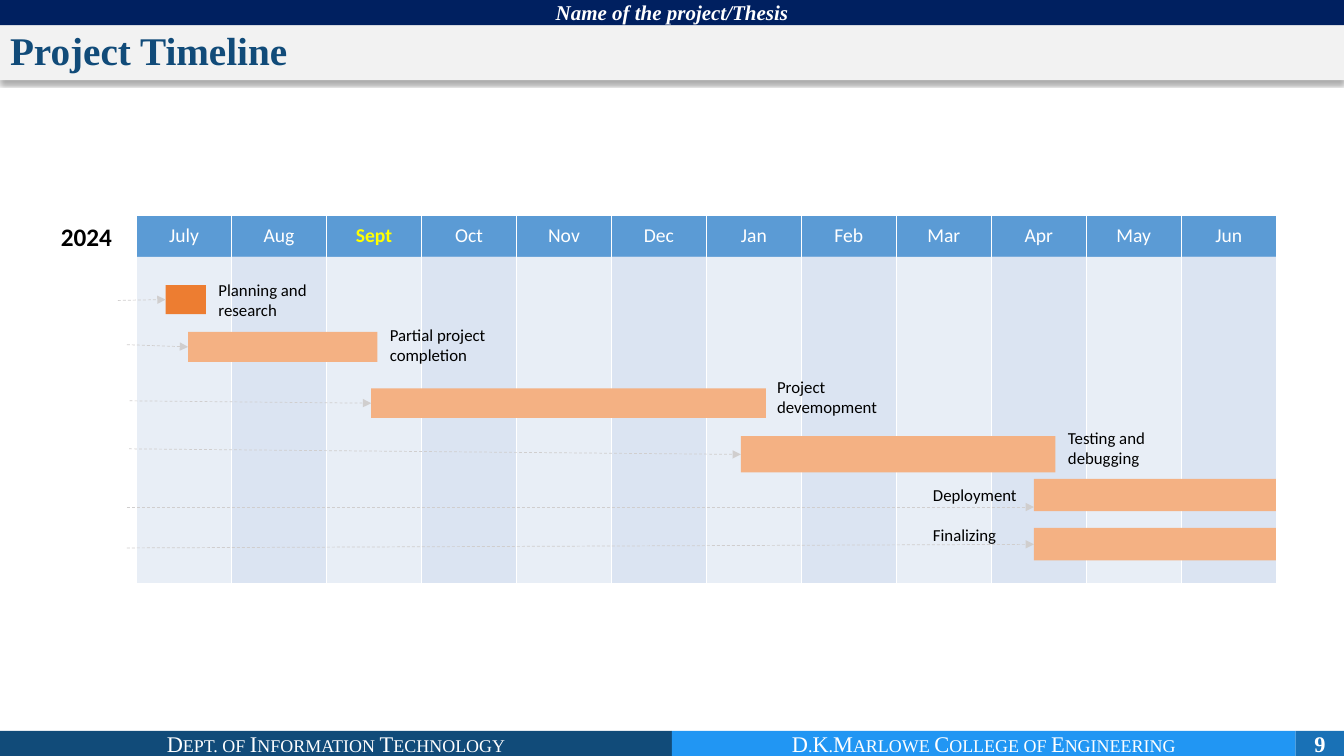
from lxml.etree import SubElement
from pptx import Presentation
from pptx.dml.color import RGBColor
from pptx.enum.dml import MSO_LINE
from pptx.enum.shapes import MSO_CONNECTOR, MSO_SHAPE
from pptx.enum.text import MSO_ANCHOR, MSO_AUTO_SIZE, PP_ALIGN
from pptx.oxml import parse_xml
from pptx.oxml.ns import nsdecls, qn
from pptx.util import Pt

WHITE = RGBColor(0xFF, 0xFF, 0xFF)
BLACK = RGBColor(0, 0, 0)
NAVY = RGBColor(0x00, 0x20, 0x60)
DEEP_BLUE = RGBColor(0x11, 0x4B, 0x79)
BRIGHT_BLUE = RGBColor(0x21, 0x96, 0xF3)
MID_BLUE = RGBColor(0x19, 0x71, 0xB6)
TITLE_GREY = RGBColor(0xF2, 0xF2, 0xF2)
MONTH_BLUE = RGBColor(0x5B, 0x9B, 0xD5)
COLUMN_BLUE = RGBColor(0xD2, 0xDE, 0xEF)
YELLOW = RGBColor(0xFF, 0xFF, 0x00)
ORANGE = RGBColor(0xED, 0x7D, 0x31)
PEACH = RGBColor(0xF4, 0xB1, 0x83)
ARROW_GREY = RGBColor(0xD0, 0xCE, 0xCE)
SERIF, SANS = "Times New Roman", "Calibri"

# Content
TITLE = "Project Timeline"
YEAR = "2024"
MONTHS = ["July", "Aug", "Sept", "Oct", "Nov", "Dec",
          "Jan", "Feb", "Mar", "Apr", "May", "Jun"]
CURRENT_MONTH = "Sept"
# text, left, top, width, fill, size, font settings
BANDS = [
    ("Dept. of Information Technology", 0, 522, 480, DEEP_BLUE, 16, "small caps"),
    ("D.K.Marlowe College of Engineering", 480, 522, 445.5, BRIGHT_BLUE, 16, "small caps"),
    ("9", 925.5, 522, 34.5, MID_BLUE, 16, "bold"),
    ("Name of the project/Thesis", 0, 0, 960, NAVY, 15, "bold italic"),
]
# label lines, label box, bar box, bar fill, arrow (start x, start y, end y)
TASKS = [
    (["Planning and", "research"], (149, 196, 83.5, 36),
     (118.3, 203.6, 28.8, 20.8), ORANGE, (84.3, 214.6, 214)),
    (["Partial project completion"], (271.4, 228.3, 83.5, 36),
     (134.4, 237.1, 135.2, 21.4), PEACH, (90.7, 246.2, 247.8)),
    (["Project devemopment"], (548, 265.3, 93.6, 36),
     (265.2, 277.4, 282, 21.2), PEACH, (92.6, 286.3, 288)),
    (["Testing and debugging"], (755.8, 301.8, 93.6, 36),
     (529.2, 311.6, 224.8, 25.9), PEACH, (92.2, 320.6, 324.6)),
    (["Deployment"], (659.3, 342.9, 80.6, 21.6),
     (738.6, 342, 172.8, 23.2), PEACH, (90.7, 362.2, 362.2)),
    (["Finalizing"], (659.3, 371.5, 62.6, 21.6),
     (738.6, 377.1, 172.8, 23.2), PEACH, (90.7, 391.4, 388.8)),
]

# Layout
SLIDE_W, SLIDE_H, BAND_H, TITLE_H = 960, 540, 18, 39.2
GRID_LEFT, GRID_TOP, MONTH_W = 97.6, 154.1, 67.85
ROW_HEIGHTS = [29.2, 233]


def points(*lengths):
    return [Pt(length) for length in lengths]


def write(paragraph, text, font, size, color, bold=False, italic=False):
    run = paragraph.add_run()
    run.text = text
    run.font.name, run.font.size = font, Pt(size)
    run.font.color.rgb = color
    run.font.bold, run.font.italic = bold, italic
    return run


def add_block(slide, box, fill):
    block = slide.shapes.add_shape(MSO_SHAPE.RECTANGLE, *points(*box))
    block.shadow.inherit = False
    block.fill.solid()
    block.fill.fore_color.rgb = fill
    block.line.fill.background()
    return block


def add_label(slide, box, lines, size, align=PP_ALIGN.LEFT, bold=False, wrap=True):
    frame = slide.shapes.add_textbox(*points(*box)).text_frame
    frame.word_wrap = wrap
    frame.auto_size = MSO_AUTO_SIZE.SHAPE_TO_FIT_TEXT
    frame.vertical_anchor = MSO_ANCHOR.MIDDLE
    for index, line in enumerate(lines):
        paragraph = frame.add_paragraph() if index else frame.paragraphs[0]
        paragraph.alignment = align
        write(paragraph, line, SANS, size, BLACK, bold)


def add_band(slide, text, left, top, width, fill, size, style):
    frame = add_block(slide, (left, top, width, BAND_H), fill).text_frame
    frame.margin_top = frame.margin_bottom = 0
    frame.vertical_anchor = MSO_ANCHOR.MIDDLE
    paragraph = frame.paragraphs[0]
    paragraph.alignment = PP_ALIGN.CENTER
    run = write(paragraph, text, SERIF, size, WHITE, "bold" in style, "italic" in style)
    if style == "small caps":
        run.font._element.set("cap", "small")


def add_title(slide):
    title = slide.shapes.title
    title.left, title.top, title.width, title.height = points(0, BAND_H, SLIDE_W, TITLE_H)
    title.fill.solid()
    title.fill.fore_color.rgb = TITLE_GREY
    title._element.spPr.append(parse_xml(
        f'<a:effectLst {nsdecls("a")}><a:outerShdw blurRad="{Pt(3.5)}" dist="{Pt(2.2)}" '
        'dir="5400000" algn="t" rotWithShape="0"><a:srgbClr val="000000">'
        '<a:alpha val="32000"/></a:srgbClr></a:outerShdw></a:effectLst>'))
    frame = title.text_frame
    frame.auto_size = MSO_AUTO_SIZE.NONE
    frame.vertical_anchor = MSO_ANCHOR.MIDDLE
    paragraph = frame.paragraphs[0]
    paragraph.alignment = PP_ALIGN.LEFT
    paragraph.line_spacing = 0.9
    write(paragraph, TITLE, SERIF, 28, DEEP_BLUE, True)


def paint_cell(cell, fill, opacity=100):
    cell.fill.solid()
    cell.fill.fore_color.rgb = fill
    properties = cell._tc.get_or_add_tcPr()
    if opacity < 100:
        color = properties.find(".//" + qn("a:srgbClr"))
        SubElement(color, qn("a:alpha")).set("val", str(opacity * 1000))
    # White lines between the months, none between the rows
    white = f'<a:solidFill><a:srgbClr val="{WHITE}"/></a:solidFill>'
    sides = [("L", white), ("R", white), ("T", "<a:noFill/>"), ("B", "<a:noFill/>")]
    for index, (side, paint) in enumerate(sides):
        properties.insert(index, parse_xml(
            f'<a:ln{side} {nsdecls("a")} w="{Pt(0.5)}">{paint}</a:ln{side}>'))


def add_calendar(slide):
    box = (GRID_LEFT, GRID_TOP, MONTH_W * len(MONTHS), sum(ROW_HEIGHTS))
    calendar = slide.shapes.add_table(2, len(MONTHS), *points(*box)).table
    calendar.first_row = calendar.horz_banding = False
    for row, height in zip(calendar.rows, ROW_HEIGHTS):
        row.height = Pt(height)
    for index, month in enumerate(MONTHS):
        calendar.columns[index].width = Pt(MONTH_W)
        heading = calendar.cell(0, index)
        paint_cell(heading, MONTH_BLUE)
        paint_cell(calendar.cell(1, index), COLUMN_BLUE, 80 if index % 2 else 50)
        heading.vertical_anchor = MSO_ANCHOR.MIDDLE
        paragraph = heading.text_frame.paragraphs[0]
        paragraph.alignment = PP_ALIGN.CENTER
        current = month == CURRENT_MONTH
        write(paragraph, month, SANS, 14, YELLOW if current else WHITE, current)


def add_arrow(slide, start_x, start_y, end_x, end_y):
    arrow = slide.shapes.add_connector(
        MSO_CONNECTOR.STRAIGHT, *points(start_x, start_y, end_x, end_y))
    arrow.line.color.rgb = ARROW_GREY
    arrow.line.width = Pt(0.5)
    arrow.line.dash_style = MSO_LINE.DASH
    SubElement(arrow.line._get_or_add_ln(), qn("a:tailEnd")).set("type", "triangle")
    SubElement(arrow._element.spPr, qn("a:effectLst"))


def main():
    deck = Presentation()
    deck.slide_width, deck.slide_height = points(SLIDE_W, SLIDE_H)
    slide = deck.slides.add_slide(deck.slide_layouts[5])

    # Header and footer
    for band in BANDS:
        add_band(slide, *band)
    add_title(slide)

    # Calendar and tasks
    add_calendar(slide)
    add_label(slide, (36, GRID_TOP, 51.1, 29), [YEAR], 18, PP_ALIGN.RIGHT, True, False)
    for lines, label_box, bar, fill, (start_x, start_y, end_y) in TASKS:
        add_block(slide, bar, fill)
        add_arrow(slide, start_x, start_y, bar[0], end_y)
        add_label(slide, label_box, lines, 12)

    deck.save("out.pptx")


if __name__ == "__main__":
    main()
